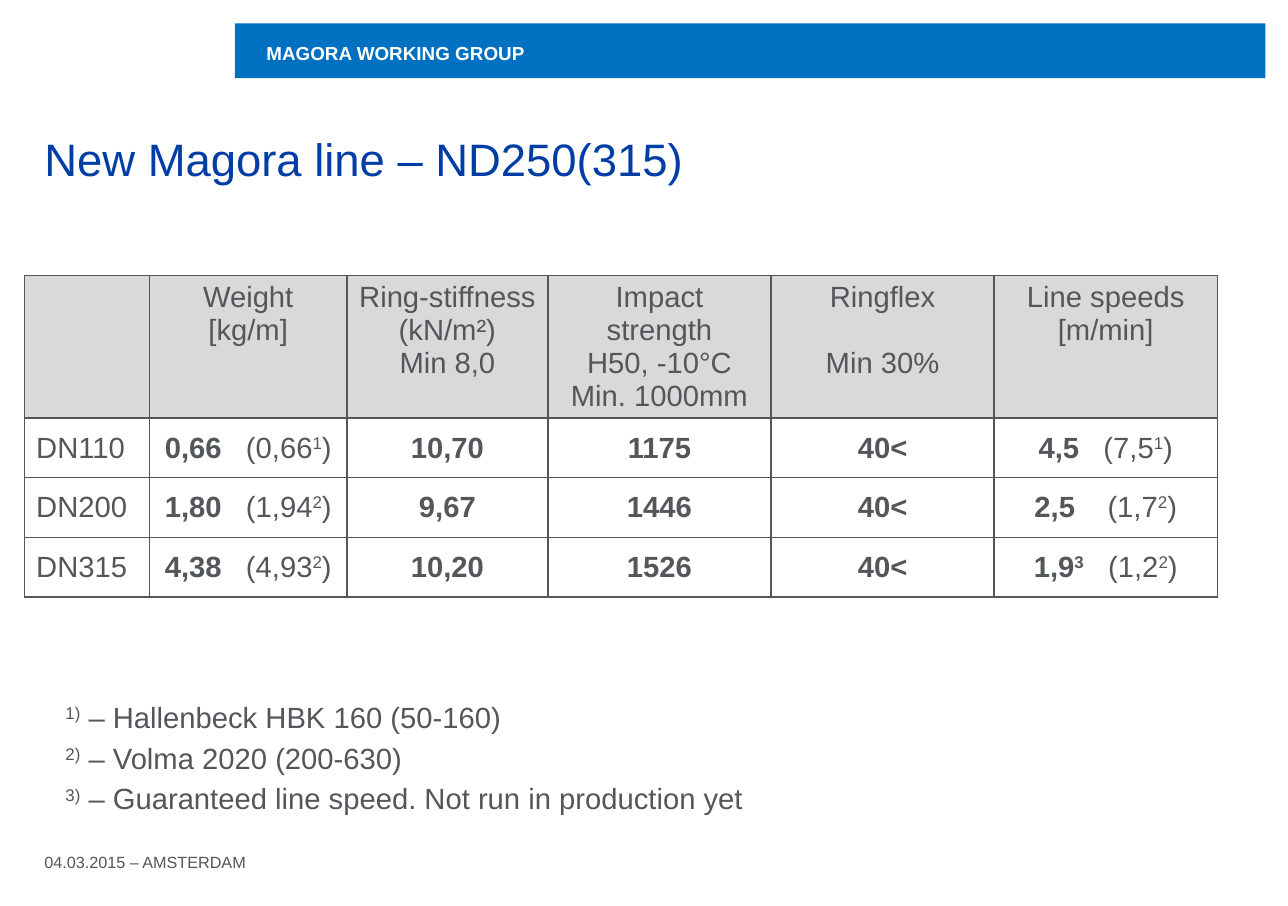
from dataclasses import dataclass

from lxml.etree import SubElement
from pptx import Presentation
from pptx.dml.color import RGBColor
from pptx.enum.shapes import MSO_SHAPE as SHAPE
from pptx.enum.text import MSO_ANCHOR as ANCHOR, MSO_AUTO_SIZE as AUTO, PP_ALIGN as ALIGN
from pptx.oxml.ns import qn
from pptx.util import Inches, Pt

COLORS = {"bar": "0070C0", "title": "003DA5", "text": "53565A", "head": "D9D9D9", "white": "FFFFFF"}
CM_PER_INCH = 2.54
SLIDE_WIDTH, SLIDE_HEIGHT = 28 / CM_PER_INCH, 19.7 / CM_PER_INCH
COLUMNS = (1.07, 1.69, 1.72, 1.91, 1.91, 1.91)
HEAD_HEIGHT, ROW_HEIGHT = 1.22, 0.51
NO_MARGINS = {"margin_left": 0, "margin_top": 0, "margin_right": 0, "margin_bottom": 0}


@dataclass(frozen=True)
class Run:
    text: str
    bold: bool = False
    raised: bool = False
    spacing: int = 0


@dataclass(frozen=True)
class Para:
    runs: tuple[Run, ...]
    before: float = 0


@dataclass(frozen=True)
class Label:
    left: float
    top: float
    width: float
    height: float
    paras: tuple[Para, ...]
    size: float
    color: str
    anchor: ANCHOR = ANCHOR.TOP
    margin_top: float = 0
    line_spacing: float | None = None


def rgb(name: str) -> RGBColor:
    return RGBColor.from_string(COLORS[name])


def plain(*lines: str) -> tuple[Para, ...]:
    return tuple(Para((Run(line),)) for line in lines)


def strong(text: str) -> tuple[Para, ...]:
    return (Para((Run(text, bold=True),)),)


def compared(value: str, other: str, note: str, mark: str = "", gap: int = 1000) -> tuple[Para, ...]:
    raised = (Run(mark, bold=True, raised=True),) if mark else ()
    return (Para((Run(value, bold=True), *raised, Run(" ", spacing=gap),
                  Run(f"({other}"), Run(note, raised=True), Run(")"))),)


def footnote(mark: str, text: str) -> Para:
    return Para((Run(mark, raised=True), Run(f" – {text}")))


def write(tf, paras: tuple[Para, ...], size: float, color: str,
          align: ALIGN = ALIGN.LEFT, line_spacing: float | None = None) -> None:
    for i, para in enumerate(paras):
        p = tf.paragraphs[0] if i == 0 else tf.add_paragraph()
        p.alignment = align
        if para.before:
            p.space_before = Pt(para.before)
        if line_spacing:
            p.line_spacing = Pt(line_spacing)
        for run in para.runs:
            r = p.add_run()
            r.text = run.text
            for key, value in {"name": "Arial", "size": Pt(size), "bold": run.bold}.items():
                setattr(r.font, key, value)
            r.font.color.rgb = rgb(color)
            if run.raised:
                r.font._element.set("baseline", "30000")
            if run.spacing:
                r.font._element.set("spc", str(run.spacing))


def draw_label(s, label: Label, sp=None) -> None:
    box = {key: Inches(getattr(label, key)) for key in ("left", "top", "width", "height")}
    sp = sp or s.shapes.add_textbox(**box)
    for key, value in box.items():
        setattr(sp, key, value)
    tf = sp.text_frame
    frame = {**NO_MARGINS, "margin_top": Inches(label.margin_top), "word_wrap": True,
             "auto_size": AUTO.NONE, "vertical_anchor": label.anchor}
    for key, value in frame.items():
        setattr(tf, key, value)
    write(tf, label.paras, label.size, label.color, line_spacing=label.line_spacing)


def draw_bar(s) -> None:
    sp = s.shapes.add_shape(SHAPE.RECTANGLE, Inches(2.01), Inches(0.2), Inches(8.82), Inches(0.47))
    sp.shadow.inherit = False
    sp.fill.solid()
    sp.fill.fore_color.rgb = rgb("bar")
    sp.line.fill.background()


def add_borders(cell) -> None:
    tc_pr = cell._tc.get_or_add_tcPr()
    for side in ("lnL", "lnR", "lnT", "lnB"):
        line = SubElement(tc_pr, qn(f"a:{side}"), w=str(Pt(1)))
        fill = SubElement(line, qn("a:solidFill"))
        SubElement(fill, qn("a:srgbClr"), val=COLORS["text"])


def draw_table(s, rows: tuple[tuple[tuple[Para, ...], ...], ...]) -> None:
    height = HEAD_HEIGHT + ROW_HEIGHT * (len(rows) - 1)
    table = s.shapes.add_table(len(rows), len(COLUMNS), Inches(0.21), Inches(2.36),
                               Inches(sum(COLUMNS)), Inches(height)).table
    table.first_row = table.horz_banding = False
    for column, width in zip(table.columns, COLUMNS):
        column.width = Inches(width)
    for i, row in enumerate(rows):
        table.rows[i].height = Inches(ROW_HEIGHT if i else HEAD_HEIGHT)
        for j, paras in enumerate(row):
            cell = table.cell(i, j)
            add_borders(cell)
            if i:
                cell.fill.background()
            else:
                cell.fill.solid()
                cell.fill.fore_color.rgb = rgb("head")
            cell.vertical_anchor = ANCHOR.MIDDLE if i else ANCHOR.TOP
            write(cell.text_frame, paras, 18, "text", ALIGN.CENTER if j else ALIGN.LEFT)


HEADER = ((), plain("Weight", "[kg/m]"), plain("Ring-stiffness", "(kN/m²)", "Min 8,0"),
          plain("Impact strength", "H50, -10°C", "Min. 1000mm"),
          (Para((Run("Ringflex"),)), Para((Run("Min 30%"),), before=20)),
          plain("Line speeds", "[m/min]"))
ROWS = (
    HEADER,
    (plain("DN110"), compared("0,66", "0,66", "1"), strong("10,70"), strong("1175"),
     strong("40<"), compared("4,5", "7,5", "1")),
    (plain("DN200"), compared("1,80", "1,94", "2"), strong("9,67"), strong("1446"),
     strong("40<"), compared("2,5", "1,7", "2", gap=1500)),
    (plain("DN315"), compared("4,38", "4,93", "2"), strong("10,20"), strong("1526"),
     strong("40<"), compared("1,9", "1,2", "2", mark="3")),
)
TITLE = Label(0.38, 1.12, 10.18, 0.59, plain("New Magora line – ND250(315)"), 28, "title")
LABELS = (
    Label(0.38, 7.15, 7.62, 0.31, plain("04.03.2015 – AMSTERDAM"), 10, "text", ANCHOR.BOTTOM),
    Label(2.28, 0.2, 8.27, 0.47, strong("MAGORA WORKING GROUP"), 11.6, "white",
          ANCHOR.MIDDLE, margin_top=0.04),
    Label(0.56, 5.94, 8.85, 0.92,
          (footnote("1)", "Hallenbeck HBK 160 (50-160)"),
           footnote("2)", "Volma 2020 (200-630)"),
           footnote("3)", "Guaranteed line speed. Not run in production yet")),
          18, "text", line_spacing=25),
)


def main() -> None:
    """Build the pipe line comparison slide and save it."""
    prs = Presentation()
    prs.slide_width, prs.slide_height = Inches(SLIDE_WIDTH), Inches(SLIDE_HEIGHT)
    s = prs.slides.add_slide(prs.slide_layouts[5])
    draw_bar(s)
    draw_label(s, TITLE, s.shapes.title)
    draw_table(s, ROWS)
    for label in LABELS:
        draw_label(s, label)
    prs.save("out.pptx")


if __name__ == "__main__":
    main()
